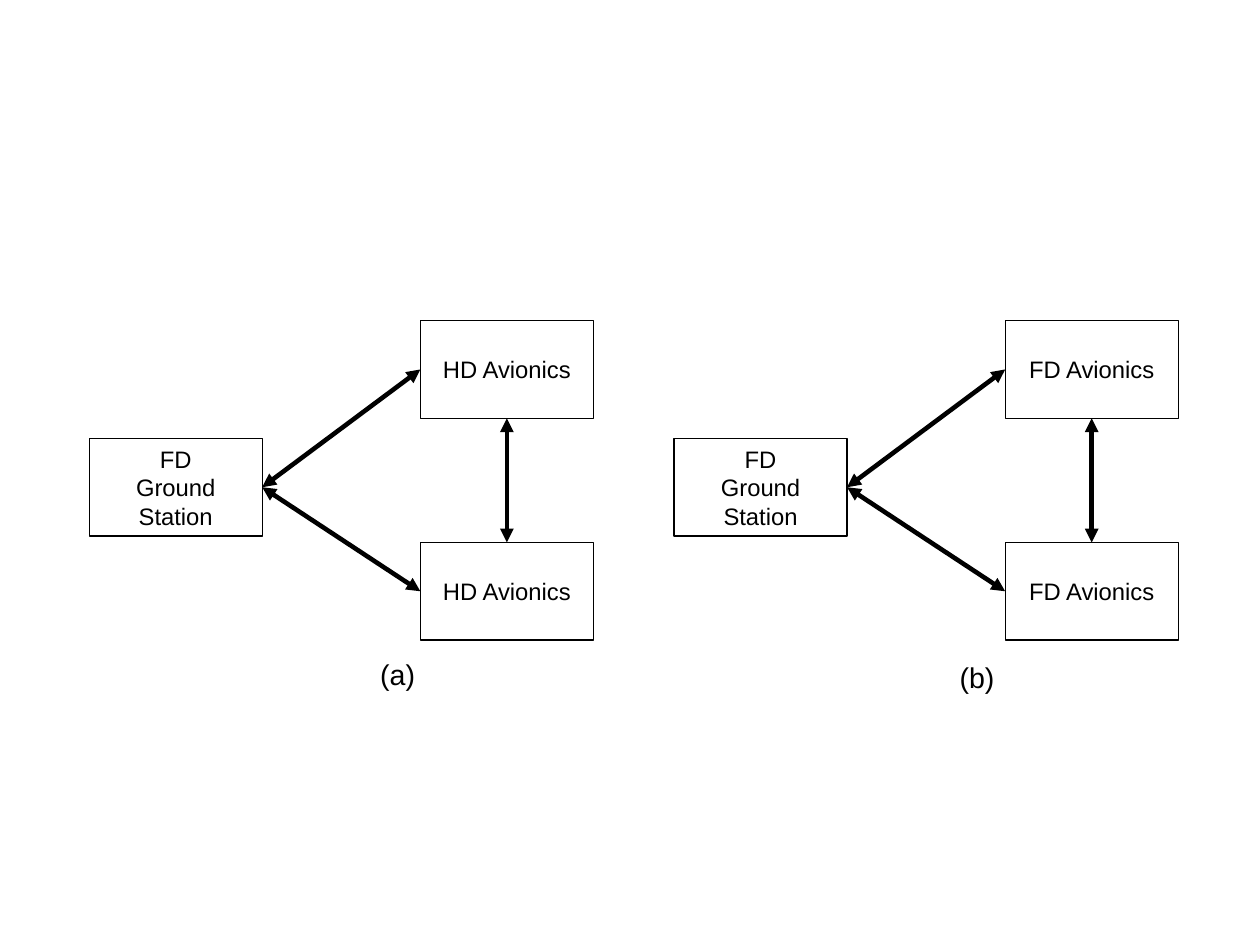
"""Builds a slide comparing two ground station and avionics link layouts."""
from lxml.etree import SubElement
from pptx import Presentation
from pptx.dml.color import RGBColor
from pptx.enum.shapes import MSO_CONNECTOR, MSO_SHAPE
from pptx.enum.text import MSO_ANCHOR, MSO_AUTO_SIZE, PP_ALIGN
from pptx.oxml.ns import qn
from pptx.util import Pt

PAGE_WIDTH, PAGE_HEIGHT = 793.7, 595.28
PANELS = [
    {"left": 56.2, "avionics": "HD Avionics", "caption": "(a)",
     "caption_at": (232.4, 410.1, 41), "wrap": True},
    {"left": 424.6, "avionics": "FD Avionics", "caption": "(b)",
     "caption_at": (597.4, 411.9, 37), "wrap": False},
]
STATION = ["FD", "Ground Station"]
BOX_WIDTH, BOX_HEIGHT = 109, 61.5
AVIONICS_SHIFT = 208.6
STATION_TOP, UPPER_TOP, LOWER_TOP = 276.2, 202, 341.7
TOP, LEFT, BOTTOM, RIGHT = range(4)
LINKS = [("station", RIGHT, "upper", LEFT),
         ("station", RIGHT, "lower", LEFT),
         ("lower", TOP, "upper", BOTTOM)]
BLACK, WHITE = "000000", "FFFFFF"


def color(value):
    return RGBColor.from_string(value)


def write(frame, lines, size, align, settings):
    margins = {"margin_left": Pt(7.2), "margin_right": Pt(7.2),
               "margin_top": Pt(3.6), "margin_bottom": Pt(3.6)}
    for name, value in {**margins, **settings}.items():
        setattr(frame, name, value)
    for index, line in enumerate(lines):
        para = frame.paragraphs[0] if index == 0 else frame.add_paragraph()
        para.alignment = align
        span = para.add_run()
        span.text = line
        for name, value in {"name": "Arial", "size": Pt(size)}.items():
            setattr(span.font, name, value)
        span.font.color.rgb = color(BLACK)


def add_box(page, left, top, lines):
    box = page.shapes.add_shape(MSO_SHAPE.RECTANGLE, Pt(left), Pt(top),
                                Pt(BOX_WIDTH), Pt(BOX_HEIGHT))
    box.shadow.inherit = False
    box.fill.solid()
    box.fill.fore_color.rgb = color(WHITE)
    box.line.color.rgb = color(BLACK)
    box.line.width = Pt(0)
    write(box.text_frame, lines, 15, PP_ALIGN.CENTER,
          {"word_wrap": True, "vertical_anchor": MSO_ANCHOR.MIDDLE})
    return box


def add_link(page, start, start_site, end, end_site):
    link = page.shapes.add_connector(MSO_CONNECTOR.STRAIGHT, 0, 0, 0, 0)
    link.begin_connect(start, start_site)
    link.end_connect(end, end_site)
    link.line.color.rgb = color(BLACK)
    link.line.width = Pt(2.89)
    outline = link.line._get_or_add_ln()
    for tag in ("a:headEnd", "a:tailEnd"):
        SubElement(outline, qn(tag), type="triangle")
    SubElement(link._element.spPr, qn("a:effectLst"))


def add_panel(page, panel):
    left = panel["left"]
    avionics_left = left + AVIONICS_SHIFT
    boxes = {
        "station": add_box(page, left, STATION_TOP, STATION),
        "upper": add_box(page, avionics_left, UPPER_TOP, [panel["avionics"]]),
        "lower": add_box(page, avionics_left, LOWER_TOP, [panel["avionics"]]),
    }
    for start, start_site, end, end_site in LINKS:
        add_link(page, boxes[start], start_site, boxes[end], end_site)
    x, y, width = panel["caption_at"]
    caption = page.shapes.add_textbox(Pt(x), Pt(y), Pt(width), Pt(27.4))
    write(caption.text_frame, [panel["caption"]], 18, PP_ALIGN.LEFT,
          {"word_wrap": panel["wrap"],
           "auto_size": MSO_AUTO_SIZE.SHAPE_TO_FIT_TEXT})


def main():
    deck = Presentation()
    deck.slide_width, deck.slide_height = Pt(PAGE_WIDTH), Pt(PAGE_HEIGHT)
    page = deck.slides.add_slide(deck.slide_layouts[6])
    for panel in PANELS:
        add_panel(page, panel)
    deck.save("out.pptx")


if __name__ == "__main__":
    main()
